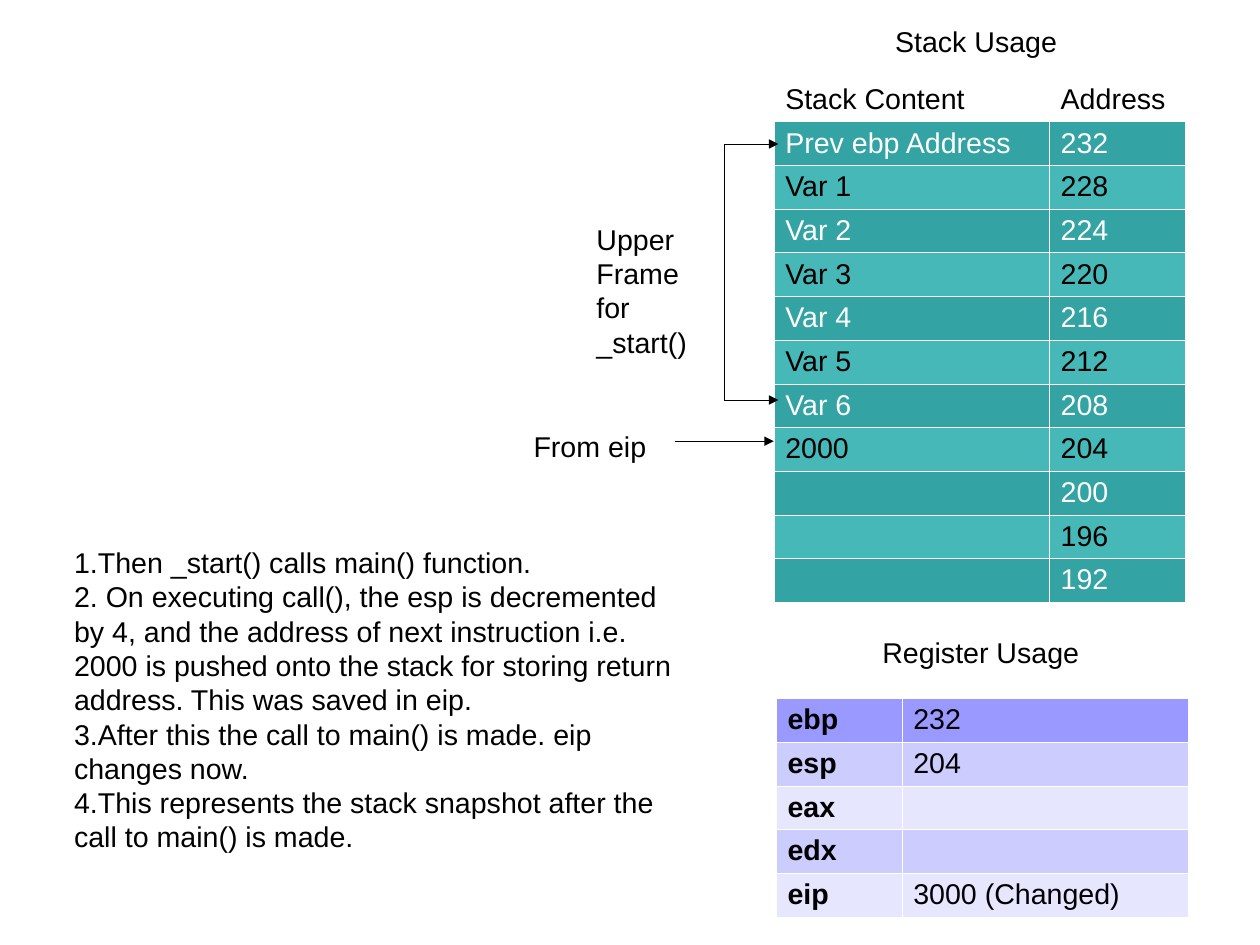
from dataclasses import dataclass

from lxml import etree
from pptx import Presentation
from pptx import util as u
from pptx.dml.color import RGBColor
from pptx.enum import shapes, text
from pptx.oxml import ns

COLORS = {
    "black": "000000",
    "white": "FFFFFF",
    "teal_dark": "33A3A3",
    "teal_light": "47B8B8",
    "violet": "9999FF",
    "lilac": "CCCCFF",
    "lilac_pale": "E6E6FF",
}
FONT = "Arial"
SIZE = u.Pt(18)
CM_PER_INCH = 2.54


@dataclass
class Row:
    cells: tuple[str, str]
    fill: str
    color: str = "black"


@dataclass
class Grid:
    left: float
    top: float
    height: float
    columns: tuple[float, float]
    rows: list[Row]
    bold_first: bool = False


@dataclass
class Label:
    left: float
    top: float
    width: float
    height: float
    lines: tuple[str, ...]
    centered: bool = False


@dataclass
class Line:
    x1: float
    y1: float
    x2: float
    y2: float
    arrow: bool = True


def rgb(name: str) -> RGBColor:
    return RGBColor.from_string(COLORS[name])


def add_run(p, content: str, color: str = "black", bold: bool = False) -> None:
    r = p.add_run()
    r.text = content
    r.font.name, r.font.size, r.font.bold = FONT, SIZE, bold
    r.font.color.rgb = rgb(color)


def size_empty(p) -> None:
    end = etree.SubElement(p._p, ns.qn("a:endParaRPr"), sz=str(SIZE.centipoints))
    etree.SubElement(end, ns.qn("a:latin"), typeface=FONT)


def add_borders(cell) -> None:
    tc_pr = cell._tc.get_or_add_tcPr()
    for side in ("a:lnL", "a:lnR", "a:lnT", "a:lnB"):
        ln = etree.SubElement(tc_pr, ns.qn(side), w=str(int(u.Pt(0.06))))
        fill = etree.SubElement(ln, ns.qn("a:solidFill"))
        etree.SubElement(fill, ns.qn("a:srgbClr"), val=COLORS["white"])


def draw_grid(s, grid: Grid) -> None:
    table = s.shapes.add_table(
        len(grid.rows), len(grid.columns), u.Inches(grid.left), u.Inches(grid.top),
        u.Inches(sum(grid.columns)), u.Inches(grid.height)).table
    table.first_row = table.horz_banding = False
    for column, width in zip(table.columns, grid.columns):
        column.width = u.Inches(width)
    for i, row in enumerate(grid.rows):
        table.rows[i].height = u.Inches(grid.height / len(grid.rows))
        for j, content in enumerate(row.cells):
            cell = table.cell(i, j)
            add_borders(cell)
            cell.fill.solid()
            cell.fill.fore_color.rgb = rgb(row.fill)
            p = cell.text_frame.paragraphs[0]
            if content:
                add_run(p, content, row.color, grid.bold_first and j == 0)
            else:
                size_empty(p)


def draw_label(s, label: Label) -> None:
    sp = s.shapes.add_textbox(u.Inches(label.left), u.Inches(label.top),
                              u.Inches(label.width), u.Inches(label.height))
    tf = sp.text_frame
    tf.word_wrap = True
    tf.auto_size = text.MSO_AUTO_SIZE.SHAPE_TO_FIT_TEXT
    for i, content in enumerate(label.lines):
        p = tf.add_paragraph() if i else tf.paragraphs[0]
        p.alignment = text.PP_ALIGN.CENTER if label.centered else text.PP_ALIGN.LEFT
        add_run(p, content)


def draw_line(s, line: Line) -> None:
    sp = s.shapes.add_connector(
        shapes.MSO_CONNECTOR.STRAIGHT, u.Inches(line.x1), u.Inches(line.y1),
        u.Inches(line.x2), u.Inches(line.y2))
    sp.line.color.rgb = rgb("black")
    ln = sp.line._get_or_add_ln()
    ln.set("w", "0")  # hairline
    if line.arrow:
        etree.SubElement(ln, ns.qn("a:tailEnd"), type="triangle")
    etree.SubElement(sp._element.spPr, ns.qn("a:effectLst"))


# Stack table: addresses step down by one 4-byte word, rows alternate shades
CONTENTS = ["Prev ebp Address", *(f"Var {n}" for n in range(1, 7)), "2000", "", "", ""]
SHADES = (("teal_dark", "white"), ("teal_light", "black"))
STACK = Grid(6.77, 0.68, 4.59, (2.41, 1.19), [
    Row(("Stack Content", "Address"), "white"),
    *(Row((content, str(232 - 4 * i)), *SHADES[i % 2])
      for i, content in enumerate(CONTENTS)),
])

# Register table
REGISTERS = Grid(6.79, 6.11, 1.91, (1.1, 2.5), [
    Row(("ebp", "232"), "violet"),
    Row(("esp", "204"), "lilac"),
    Row(("eax", ""), "lilac_pale"),
    Row(("edx", ""), "lilac"),
    Row(("eip", "3000 (Changed)"), "lilac_pale"),
], bold_first=True)

# Headings, notes and callouts
LABELS = [
    Label(6.73, 0.16, 3.62, 0.38, ("Stack Usage",), centered=True),
    Label(6.77, 5.51, 3.62, 0.38, ("Register Usage",), centered=True),
    Label(0.55, 4.72, 5.43, 2.74, (
        "1.Then _start() calls main() function.",
        "2. On executing call(), the esp is decremented by 4, and the address of next "
        "instruction i.e. 2000 is pushed onto the stack for storing return address. "
        "This was saved in eip.",
        "3.After this the call to main() is made. eip changes now.",
        "4.This represents the stack snapshot after the call to main() is made.",
    )),
    Label(5.12, 1.89, 1.26, 1.22, ("Upper Frame for _start()",)),
    Label(4.57, 3.7, 1.34, 0.38, ("From eip",)),
]

# Bracket around the upper frame, then the eip arrow
BRACKET_X, FRAME_TOP, FRAME_BOTTOM = 6.34, 1.26, 3.5
LINES = [
    *(Line(BRACKET_X, y, 6.81, y) for y in (FRAME_BOTTOM, FRAME_TOP)),
    Line(BRACKET_X, FRAME_TOP, BRACKET_X, FRAME_BOTTOM, arrow=False),
    Line(5.91, 3.86, 6.77, 3.86),
]


def main() -> None:
    prs = Presentation()
    # Page of 28 by 21 cm
    prs.slide_width = u.Inches(28 / CM_PER_INCH)
    prs.slide_height = u.Inches(21 / CM_PER_INCH)
    s = prs.slides.add_slide(prs.slide_layouts[6])
    for grid in (REGISTERS, STACK):
        draw_grid(s, grid)
    for label in LABELS:
        draw_label(s, label)
    for line in LINES:
        draw_line(s, line)
    prs.save("out.pptx")


if __name__ == "__main__":
    main()
